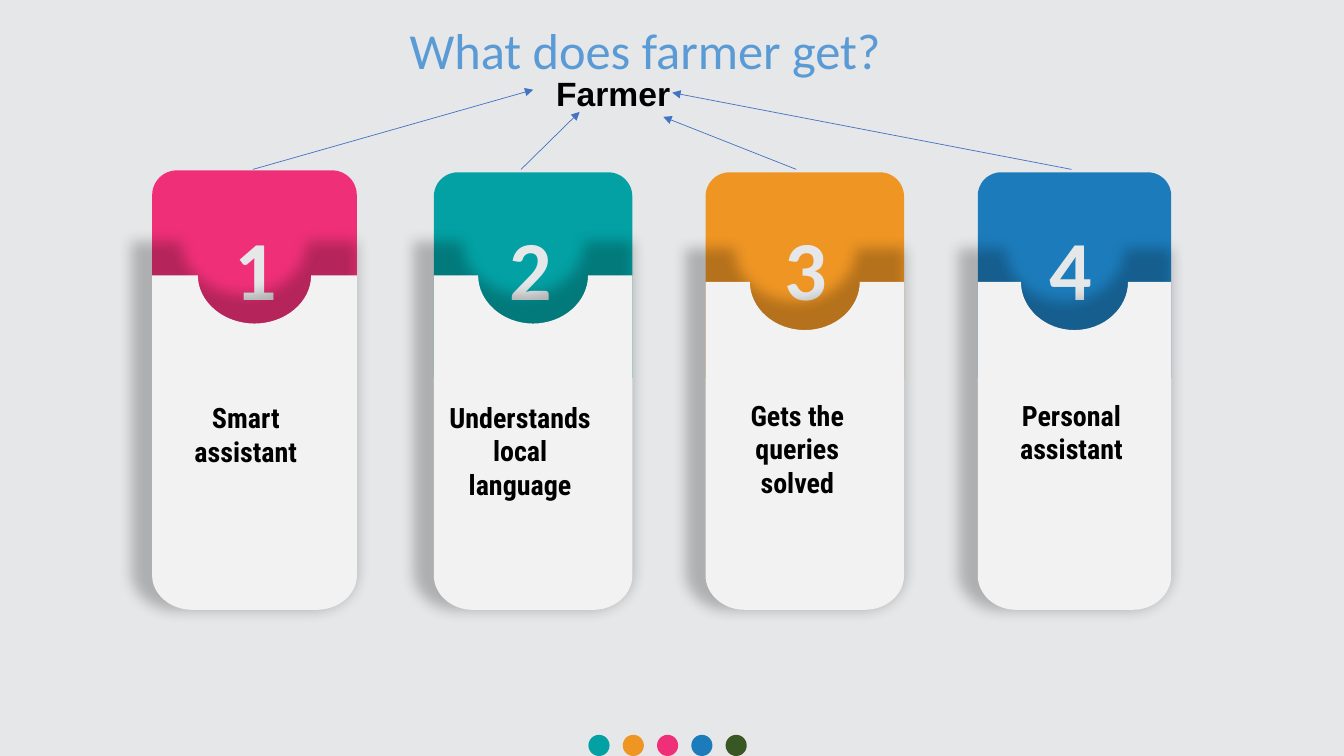
"""Build the slide on what the farmer gets: four numbered cards under a heading."""
from typing import NamedTuple

from lxml import etree
from pptx import Presentation
from pptx.dml.color import RGBColor
from pptx.enum.shapes import MSO_CONNECTOR, MSO_SHAPE
from pptx.enum.text import PP_ALIGN
from pptx.oxml.ns import qn
from pptx.util import Pt

STRAIGHT = MSO_CONNECTOR.STRAIGHT
OVAL = MSO_SHAPE.OVAL
TAB = MSO_SHAPE.ROUND_2_SAME_RECTANGLE
LEFT, CENTER = PP_ALIGN.LEFT, PP_ALIGN.CENTER

BACKGROUND = RGBColor(0xE6, 0xE7, 0xE9)
CARD_GREY = RGBColor(0xF2, 0xF2, 0xF2)
PINK = RGBColor(0xEF, 0x30, 0x78)
TEAL = RGBColor(0x03, 0xA1, 0xA4)
ORANGE = RGBColor(0xEE, 0x95, 0x24)
BLUE = RGBColor(0x1C, 0x7C, 0xBB)
GREEN = RGBColor(0x38, 0x57, 0x23)
TITLE_BLUE = RGBColor(0x5B, 0x9B, 0xD5)
ARROW_BLUE = RGBColor(0x44, 0x72, 0xC4)
BLACK = RGBColor(0, 0, 0)

CARD_BOTTOM = 435.6
TAB_HEIGHT = 146.9
NOTCH_DEPTH = 34.5
CORNER_HEIGHT = 24.5
ARC_PULL = 0.55


class Card(NamedTuple):
    """Place, colour and wording of one card."""
    left: float
    width: float
    tab_top: float
    body_top: float
    color: RGBColor
    number: str
    number_left: float
    label: str
    label_left: float
    label_top: float
    arrow_start: float
    arrow_end: tuple


CARDS = [
    Card(108.7, 146.2, 121.7, 196.6, PINK, "1", 147.2,
         "Smart assistant", 113, 282.6, 180.7, (380.9, 64.1)),
    Card(309.9, 141.8, 123.1, 196.6, TEAL, "2", 343.7,
         "Understands local language", 308.9, 282.3, 372.2, (414, 79.9)),
    Card(504, 141.8, 123.1, 201.3, ORANGE, "3", 540.3,
         "Gets the queries solved", 506.9, 281, 568.8, (473.8, 83.5)),
    Card(698.4, 138.2, 123.1, 201.3, BLUE, "4", 729.4,
         "Personal assistant", 702.7, 281, 765.4, (480.2, 66.2)),
]


def paint(shape, color):
    """Give a shape a plain fill with no outline and no shadow."""
    shape.fill.solid()
    shape.fill.fore_color.rgb = color
    shape.line.fill.background()
    shape.shadow.inherit = False


def add_text(page, text, place, font_name, size, color, bold=True, align=CENTER):
    """Add a wrapped text box in a single style."""
    box = page.shapes.add_textbox(*map(Pt, place))
    box.text_frame.word_wrap = True
    para = box.text_frame.paragraphs[0]
    para.text = text
    para.alignment = align
    font = para.runs[0].font
    font.name, font.size, font.bold = font_name, Pt(size), bold
    font.color.rgb = color


def add_filled(page, kind, place, color):
    """Add a plain preset shape."""
    shape = page.shapes.add_shape(kind, *map(Pt, place))
    paint(shape, color)
    return shape


def quarter(start, corner, end):
    """Return the three curve points of a quarter ellipse bulging to a corner."""
    pulls = [tuple(near + ARC_PULL * (far - near) for near, far in zip(point, corner))
             for point in (start, end)]
    return [*pulls, end]


def add_outline(page, start, segments):
    """Draw a closed outline of lines (one point) and curves (three points)."""
    builder = page.shapes.build_freeform(*map(Pt, start))
    builder.add_line_segments([(Pt(x), Pt(y)) for segment in segments
                               for x, y in segment], close=True)
    shape = builder.convert_to_shape()
    lines = list(shape._element.iter(qn("a:lnTo")))
    for segment in segments:
        steps, lines = lines[:len(segment)], lines[len(segment):]
        if len(steps) == 3:
            curve = etree.Element(qn("a:cubicBezTo"))
            steps[0].addprevious(curve)
            for step in steps:
                curve.append(step[0])
                step.getparent().remove(step)
    return shape


def add_shadow(shape):
    """Cast a soft, enlarged shadow up and to the left."""
    effects = shape._element.spPr.find(qn("a:effectLst"))
    shadow = etree.SubElement(effects, qn("a:outerShdw"), blurRad=str(Pt(10)),
                              sx="110000", sy="110000", algn="br", rotWithShape="0")
    tint = etree.SubElement(shadow, qn("a:srgbClr"), val=str(BLACK))
    etree.SubElement(tint, qn("a:alpha"), val="23000")


def add_body(page, card):
    """Draw the card body with a round notch and rounded lower corners."""
    left, top, right = card.left, card.body_top, card.left + card.width
    middle = left + card.width / 2
    radius, corner = card.width * 0.277, card.width * 0.197
    notch_bottom = top + NOTCH_DEPTH
    corner_top = CARD_BOTTOM - CORNER_HEIGHT
    notch_left, notch_right = (middle - radius, top), (middle + radius, top)
    notch_low = (middle, notch_bottom)
    body = add_outline(page, (left, top), [
        [notch_left],
        quarter(notch_left, (middle - radius, notch_bottom), notch_low),
        quarter(notch_low, (middle + radius, notch_bottom), notch_right),
        [(right, top)],
        [(right, corner_top)],
        quarter((right, corner_top), (right, CARD_BOTTOM), (right - corner, CARD_BOTTOM)),
        [(left + corner, CARD_BOTTOM)],
        quarter((left + corner, CARD_BOTTOM), (left, CARD_BOTTOM), (left, corner_top)),
    ])
    paint(body, CARD_GREY)
    add_shadow(body)


def add_tab(page, card):
    """Add the coloured tab and its number."""
    tab = add_filled(page, TAB, (card.left, card.tab_top, card.width, TAB_HEIGHT),
                     card.color)
    tab.adjustments[0] = 0.121
    add_text(page, card.number, (card.number_left, 151.2, 70.6, 79.9),
             "Calibri", 60, BACKGROUND)


def add_arrow(page, start, end):
    """Add a thin arrow from start to end."""
    arrow = page.shapes.add_connector(STRAIGHT, *map(Pt, start + end))
    arrow.line.color.rgb = ARROW_BLUE
    arrow.line.width = Pt(0.5)
    etree.SubElement(arrow.line._get_or_add_ln(), qn("a:tailEnd"), type="triangle")
    etree.SubElement(arrow._element.spPr, qn("a:effectLst"))


def main():
    """Build and save the deck."""
    deck = Presentation()
    deck.slide_width, deck.slide_height = Pt(960), Pt(540)
    page = deck.slides.add_slide(deck.slide_layouts[6])
    page.background.fill.solid()
    page.background.fill.fore_color.rgb = BACKGROUND

    for card in reversed(CARDS):
        add_tab(page, card)
    add_text(page, "What does farmer get?", (155.5, 10.1, 610.6, 51.1),
             "Calibri", 36, TITLE_BLUE, bold=False)
    for index, color in enumerate([TEAL, ORANGE, PINK, BLUE, GREEN]):
        add_filled(page, OVAL, (420.3 + 24.5 * index, 524.9, 15.1, 15.1), color)
    for card in CARDS:
        add_body(page, card)
    for card in CARDS:
        add_text(page, card.label, (card.label_left, card.label_top, 125.3, 55.4),
                 "Roboto Condensed", 20, BLACK)
    add_text(page, "Farmer", (390.2, 48.6, 251.3, 36), "Arial", 24, BLACK, align=LEFT)
    for card in CARDS:
        add_arrow(page, (card.arrow_start, 121), card.arrow_end)
    deck.save("out.pptx")


if __name__ == "__main__":
    main()
